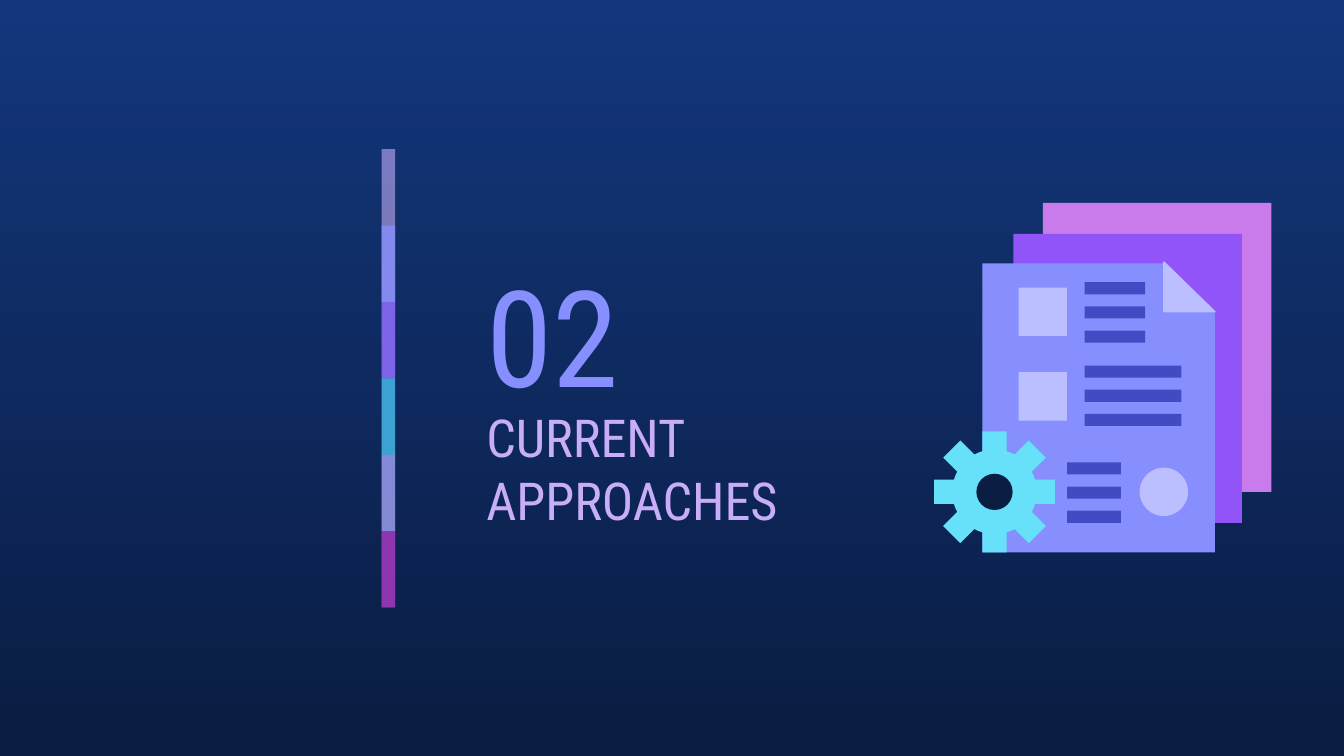
import math

from lxml import etree
from pptx import Presentation
from pptx.dml.color import RGBColor
from pptx.enum import shapes, text
from pptx.oxml.ns import qn
from pptx.util import Inches, Pt

NAVY_TOP = RGBColor(0x13, 0x36, 0x7C)
NAVY = RGBColor(0x0A, 0x1D, 0x42)
LILAC = RGBColor(0xC8, 0xAE, 0xF8)
PERIWINKLE = RGBColor(0x87, 0x8F, 0xFF)
VIOLET = RGBColor(0x91, 0x54, 0xF8)
TEAL = RGBColor(0x35, 0xC2, 0xDF)
ORCHID = RGBColor(0xCA, 0x7B, 0xEB)
MAGENTA = RGBColor(0x97, 0x2C, 0xB4)
CYAN = RGBColor(0x67, 0xE0, 0xF9)
PALE = RGBColor(0xBB, 0xBF, 0xFF)
INDIGO = RGBColor(0x42, 0x4B, 0xC4)

FONT = "Roboto Condensed"
RECT = shapes.MSO_SHAPE.RECTANGLE
OVAL = shapes.MSO_SHAPE.OVAL


def paint(sp, color, opacity=100):
    sp.shadow.inherit = False
    sp.fill.solid()
    sp.fill.fore_color.rgb = color
    sp.line.fill.background()
    if opacity < 100:
        clr = sp.fill._xPr.find(qn("a:solidFill"))[0]
        etree.SubElement(clr, qn("a:alpha")).set("val", str(opacity * 1000))
    return sp


def add_preset(s, kind, x, y, w, h, color, opacity=100):
    sp = s.shapes.add_shape(kind, Inches(x), Inches(y), Inches(w), Inches(h))
    return paint(sp, color, opacity)


def add_outline(s, x, y, points, color):
    """Closed polygon whose points are relative to (x, y)."""
    pts = [(Inches(x + dx), Inches(y + dy)) for dx, dy in points]
    fb = s.shapes.build_freeform(*pts[0], scale=1.0)
    fb.add_line_segments(pts[1:], close=True)
    return paint(fb.convert_to_shape(), color)


def add_title(s, x, y, w, h, words, size, color):
    tf = s.shapes.add_textbox(Inches(x), Inches(y), Inches(w), Inches(h)).text_frame
    tf.word_wrap = True
    tf.vertical_anchor = text.MSO_ANCHOR.MIDDLE
    tf.margin_left = tf.margin_right = tf.margin_top = tf.margin_bottom = Inches(0.1)
    tf.text = words
    font = tf.paragraphs[0].runs[0].font
    font.name, font.size, font.color.rgb = FONT, Pt(size), color


def add_color_strip(s, x, y, w, h):
    """Translucent bars two steps tall, each overlapping the next by one step."""
    bars = [(LILAC, 59), (PERIWINKLE, 74), (VIOLET, 53),
            (TEAL, 76), (ORCHID, 56), (MAGENTA, 74)]
    step = h / len(bars)
    for i, (color, opacity) in enumerate(bars):
        steps = min(2, len(bars) - i)
        add_preset(s, RECT, x, y + i * step, w, steps * step, color, opacity)


def add_gear(s, x, y, size):
    outer, body, half = size / 2, size * 0.35, size * 0.1
    base = math.sqrt(body ** 2 - half ** 2)
    # Half-width and distance along one tooth, then the body arc to the next
    profile = [(-half, base), (-half, outer), (half, outer), (half, base),
               (body * math.sin(math.pi / 8), body * math.cos(math.pi / 8))]
    points = []
    for i in range(8):
        c, n = math.cos(i * math.pi / 4), math.sin(i * math.pi / 4)
        points += [(a * c + d * n, a * n - d * c) for a, d in profile]
    cx, cy, hole = x + outer, y + outer, size * 0.3
    add_outline(s, cx, cy, points, CYAN)
    add_preset(s, OVAL, cx - hole / 2, cy - hole / 2, hole, hole, NAVY)


def add_documents(s, x, y):
    """Three stacked sheets with a gear; the box is 2.51 by 2.6 inches."""
    add_outline(s, x + 0.81, y, [(0, 0), (0, 0.23), (1.48, 0.23), (1.48, 2.15),
                                 (1.7, 2.15), (1.7, 0)], ORCHID)
    add_outline(s, x + 0.59, y + 0.23,
                [(0, 0), (0, 0.23), (1.12, 0.23), (1.48, 0.58), (1.48, 2.15),
                 (1.7, 2.15), (1.7, 0)], VIOLET)
    add_outline(s, x + 0.36, y + 0.45, [(0, 0), (0, 2.15), (1.73, 2.15),
                                        (1.73, 0.37), (1.37, 0)], PERIWINKLE)
    add_gear(s, x, y + 1.7, 0.9)
    for kind, dx, dy in [(RECT, 0.63, 0.63), (RECT, 0.63, 1.26), (OVAL, 1.53, 1.97)]:
        add_preset(s, kind, x + dx, y + dy, 0.36, 0.36, PALE)
    for dx, dy, w in [(1.12, 0.59, 0.45), (1.12, 1.21, 0.72), (0.99, 1.93, 0.4)]:
        for i in range(3):
            add_preset(s, RECT, x + dx, y + dy + i * 0.18, w, 0.09, INDIGO)
    fold = add_outline(s, x + 1.71, y + 0.44, [(0, 0), (0, 0.37), (0.38, 0.37)], PALE)
    fold.line.color.rgb = PALE
    fold.line.width = Pt(0.75)


def main():
    prs = Presentation()
    prs.slide_width, prs.slide_height = Inches(10), Inches(10 * 9 / 16)
    s = prs.slides.add_slide(prs.slide_layouts[6])
    bg = s.background.fill
    bg.gradient()
    bg.gradient_angle = 270
    for stop, color in zip(bg.gradient_stops, (NAVY_TOP, NAVY)):
        stop.color.rgb = color
    add_color_strip(s, 2.84, 1.11, 0.1, 3.41)
    add_title(s, 3.52, 1.81, 1.75, 1.35, "02", 72, PERIWINKLE)
    add_title(s, 3.52, 3.15, 2.87, 0.67, "CURRENT APPROACHES", 28, LILAC)
    add_documents(s, 6.95, 1.51)
    prs.save("out.pptx")


if __name__ == "__main__":
    main()
